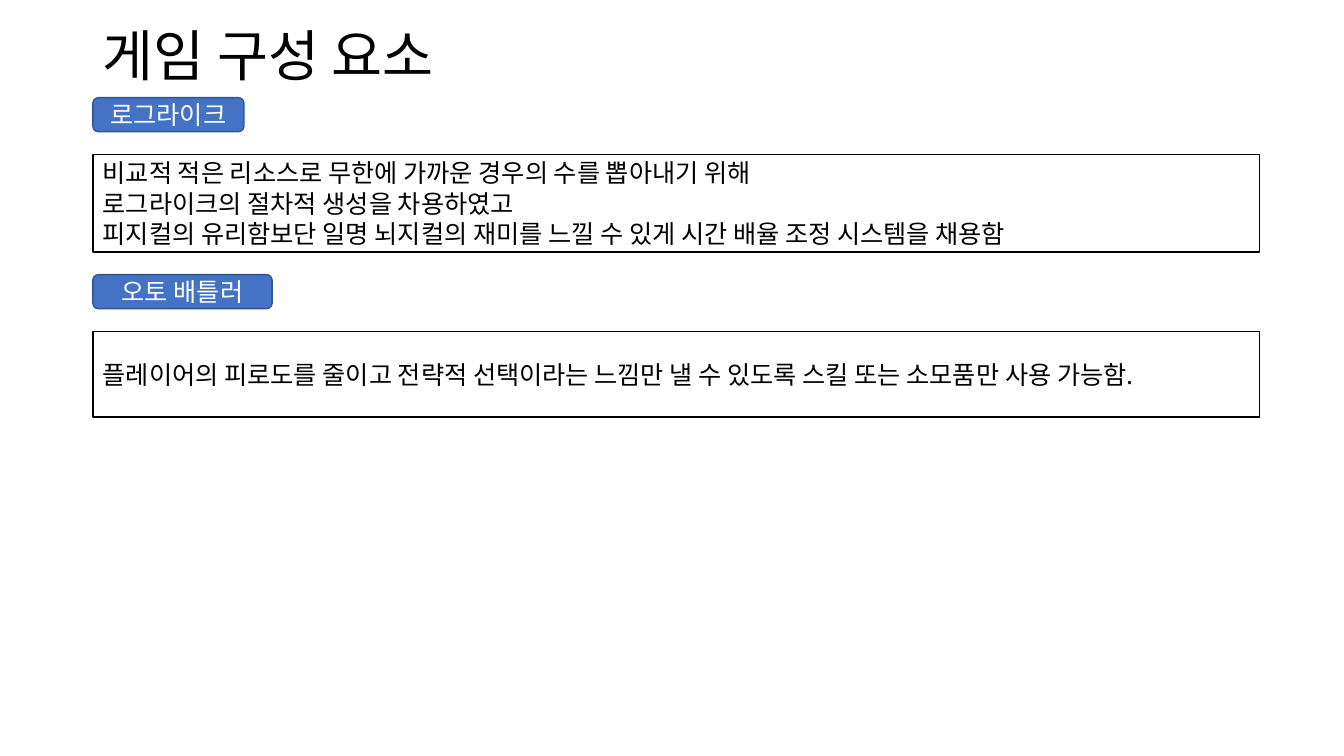
import pptx
import pptx.util
import pptx.dml.color
import pptx.enum.shapes
import pptx.enum.text
import pptx.oxml.ns
import lxml.etree

Cm, Pt = pptx.util.Cm, pptx.util.Pt
RGB = pptx.dml.color.RGBColor
KIND = pptx.enum.shapes.MSO_SHAPE
ALIGN = pptx.enum.text.PP_ALIGN

TITLE = "게임 구성 요소"
PARTS = [
    ("로그라이크", 3.81, 2.46, [
        "비교적 적은 리소스로 무한에 가까운 경우의 수를 뽑아내기 위해",
        "로그라이크의 절차적 생성을 차용하였고",
        "피지컬의 유리함보단 일명 뇌지컬의 재미를 느낄 수 있게 시간 배율 조정 시스템을 채용함",
    ]),
    ("오토 배틀러", 4.52, 2.16, [
        "플레이어의 피로도를 줄이고 전략적 선택이라는 느낌만 낼 수 있도록 스킬 또는 소모품만 사용 가능함.",
    ]),
]
FONT = "Noto Sans CJK KR"
COLORS = {"text": "000000", "tag": "4472C4", "edge": "325491", "light": "FFFFFF"}
LEFT, TOP, WIDTH = 2.34, 2.46, 29.41
TAG_H, GAP = 0.86, 0.57


def color(name):
    return RGB.from_string(COLORS[name])


def write(shape, lines, size, ink, align):
    frame = shape.text_frame
    frame.text = "\n".join(lines)
    frame.word_wrap = True
    frame.auto_size = pptx.enum.text.MSO_AUTO_SIZE.NONE
    frame.vertical_anchor = pptx.enum.text.MSO_ANCHOR.MIDDLE
    for para in frame.paragraphs:
        para.alignment = align
        font = para.font
        font.size = Pt(size)
        font.color.rgb = color(ink)
        font.name = FONT
        props = para._p.pPr.find(pptx.oxml.ns.qn("a:defRPr"))
        lxml.etree.SubElement(props, pptx.oxml.ns.qn("a:ea"), typeface=FONT)


def panel(slide, kind, top, width, height, edge, fill=None):
    shape = slide.shapes.add_shape(kind, Cm(LEFT), Cm(top), Cm(width), Cm(height))
    shape.shadow.inherit = False
    if fill:
        shape.fill.solid()
        shape.fill.fore_color.rgb = color(fill)
    else:
        shape.fill.background()
    shape.line.color.rgb = color(edge)
    shape.line.width = Pt(1)
    return shape


def main():
    deck = pptx.Presentation()
    deck.slide_width, deck.slide_height = Cm(33.87), Cm(19.05)
    slide = deck.slides.add_slide(deck.slide_layouts[5])

    title = slide.shapes.title
    title.left, title.top = Cm(LEFT), Cm(1.02)
    title.width, title.height = Cm(23.22), Cm(0.89)
    write(title, [TITLE], 39.6, "text", ALIGN.LEFT)
    title.text_frame.paragraphs[0].line_spacing = 0.9

    top = TOP
    for name, width, height, lines in PARTS:
        tag = panel(slide, KIND.ROUNDED_RECTANGLE, top, width, TAG_H, "edge", "tag")
        write(tag, [name], 18, "light", ALIGN.CENTER)
        top += TAG_H + GAP
        box = panel(slide, KIND.RECTANGLE, top, WIDTH, height, "text")
        write(box, lines, 18, "text", ALIGN.LEFT)
        top += height + GAP

    deck.save("out.pptx")


if __name__ == "__main__":
    main()
